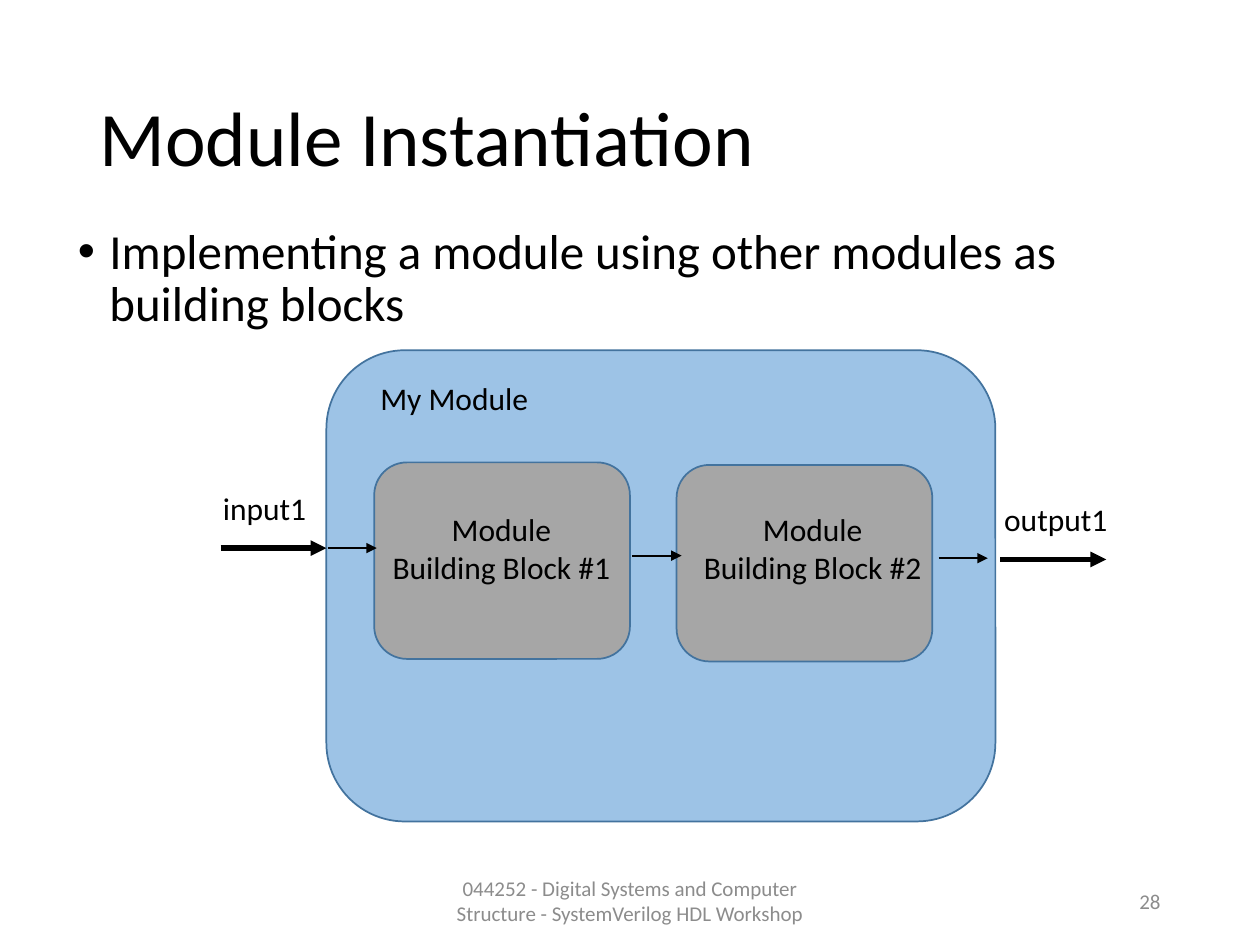
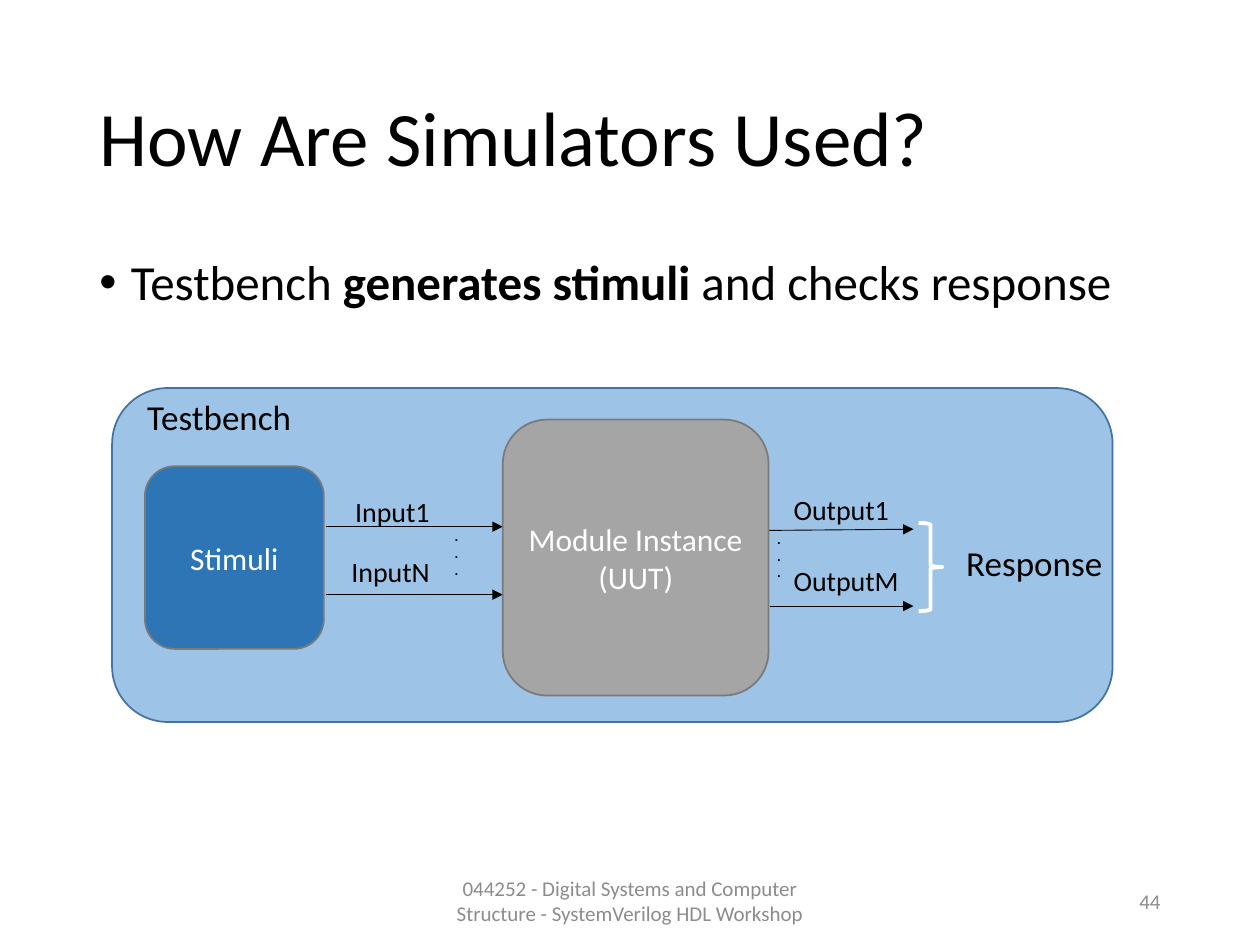
from dataclasses import dataclass

from pptx import Presentation
from pptx import util as u
from pptx.dml.color import RGBColor
from pptx.enum import shapes, text
from pptx.oxml.ns import qn
from lxml import etree

PX = 9144  # 100 px to the inch
FORM = shapes.MSO_SHAPE
ALIGN = text.PP_ALIGN
MID = text.MSO_ANCHOR.MIDDLE


@dataclass(frozen=True)
class Theme:
    font: str = "Calibri"
    black: str = "000000"
    white: str = "FFFFFF"
    muted: str = "8C8C8C"
    panel: str = "9DC3E6"
    edge: str = "43739E"
    block: str = "A6A6A6"
    unit: str = "A5A5A5"
    rim: str = "7A7A7A"
    source: str = "2E75B6"
    title: int = 44
    body: int = 28
    head: int = 20
    label: int = 18
    port: int = 16
    foot: int = 12
    dot: int = 8


T = Theme()
FOOTER = "044252 - Digital Systems and Computer Structure - SystemVerilog HDL Workshop"


def rgb(code):
    return RGBColor.from_string(code)


def px(*nums):
    return [u.Emu(n * PX) for n in nums]


def write(shape, words, size=T.label, color=T.black, align=ALIGN.LEFT,
          anchor=text.MSO_ANCHOR.TOP, bold=False, bullet=False, lead=None):
    """Fill a shape with one paragraph a line; ** switches bold on and off."""
    frame = shape.text_frame
    frame.word_wrap = True
    frame.auto_size = text.MSO_AUTO_SIZE.NONE
    frame.vertical_anchor = anchor
    for i, line in enumerate(words.split("\n")):
        para = frame.add_paragraph() if i else frame.paragraphs[0]
        para.alignment = align
        if lead:
            para.line_spacing = lead
        if bullet:
            props = para._p.get_or_add_pPr()
            props.set("marL", str(25 * PX))
            props.set("indent", str(-25 * PX))
            etree.SubElement(props, qn("a:buFont")).set("typeface", "Arial")
            etree.SubElement(props, qn("a:buChar")).set("char", "•")
        for j, part in enumerate(line.split("**")):
            run = para.add_run()
            run.text = part
            font = run.font
            font.name, font.size = T.font, u.Pt(size)
            font.bold = bold or j % 2 == 1
            font.color.rgb = rgb(color)


def label(slide, box, words, **form):
    write(slide.shapes.add_textbox(*px(*box)), words, **form)


def shape(slide, kind, box, fill=None, line=T.edge, width=1):
    item = slide.shapes.add_shape(kind, *px(*box))
    item.shadow.inherit = False
    if fill:
        item.fill.solid()
        item.fill.fore_color.rgb = rgb(fill)
    else:
        item.fill.background()
    item.line.color.rgb = rgb(line)
    item.line.width = u.Pt(width)
    return item


def card(slide, box, fill, words):
    item = shape(slide, FORM.ROUNDED_RECTANGLE, box, fill, T.rim)
    write(item, words, color=T.white, align=ALIGN.CENTER, anchor=MID)


def arrow(slide, start, end, width):
    item = slide.shapes.add_connector(shapes.MSO_CONNECTOR.STRAIGHT,
                                      *px(*start, *end))
    item.line.color.rgb = rgb(T.black)
    item.line.width = u.Pt(width)
    etree.SubElement(item.line._get_or_add_ln(), qn("a:tailEnd")).set("type", "triangle")
    etree.SubElement(item._element.spPr, qn("a:effectLst"))


def page(deck, title, wide, number):
    """Add a slide with its title, footer and page number."""
    slide = deck.slides.add_slide(deck.slide_layouts[5])
    head = slide.shapes.title
    head.left, head.top, head.width, head.height = px(69, 40, wide, 145)
    write(head, title, size=T.title, anchor=MID, lead=0.9)
    small = dict(size=T.foot, color=T.muted, anchor=MID)
    label(slide, (331, 695, 338, 40), FOOTER, align=ALIGN.CENTER, **small)
    label(slide, (706, 695, 225, 40), str(number), align=ALIGN.RIGHT, **small)
    return slide


def point(slide, box, words):
    label(slide, box, words, size=T.body, bullet=True, lead=0.9)


def modules(deck):
    slide = page(deck, "Module Instantiation", 912, 28)
    point(slide, (52, 175, 896, 509),
          "Implementing a module using other modules as building blocks")
    shape(slide, FORM.ROUNDED_RECTANGLE, (259, 278, 531, 374), T.panel)
    label(slide, (292, 296, 270, 40), "My Module")
    blocks = [(297, 367, 263), (537, 369, 510)]
    for i, (left, top, name) in enumerate(blocks, 1):
        shape(slide, FORM.ROUNDED_RECTANGLE, (left, top, 203, 156), T.block)
        label(slide, (name, 400, 270, 71), f"Module\nBuilding Block #{i}",
              align=ALIGN.CENTER)
    for left, top, name in [(75, 383, "input1"), (703, 392, "output1")]:
        label(slide, (left, top, 270, 40), name, align=ALIGN.CENTER)
    for left, y in [(175, 435), (794, 444)]:
        arrow(slide, (left, y), (left + 84, y), 3)
    for left, y in [(260, 435), (502, 441), (745, 443)]:
        arrow(slide, (left, y), (left + 39, y), 1)


def bench(deck):
    slide = page(deck, "How Are Simulators Used?", 862, 44)
    point(slide, (69, 200, 862, 476),
          "Testbench **generates stimuli** and checks response")
    shape(slide, FORM.ROUNDED_RECTANGLE, (89, 308, 794, 265), T.panel)
    label(slide, (107, 309, 146, 44), "Testbench", size=T.head)
    label(slide, (757, 425, 135, 44), "Response", size=T.head)
    signals = [((607, 421), (725, 420)), ((259, 418), (399, 418)),
               ((259, 472), (399, 472)), ((611, 481), (725, 481))]
    for start, end in signals:
        arrow(slide, start, end, 0.5)
    card(slide, (399, 333, 211, 219), T.unit, "Module Instance\n(UUT)")
    card(slide, (115, 370, 142, 145), T.source, "Stimuli")
    ports = [(272, 388, "Input1"), (269, 435, "InputN"),
             (620, 386, "Output1"), (620, 442, "OutputM")]
    for left, top, name in ports:
        label(slide, (left, top, 115, 37), name, size=T.port)
    for left, top in [(351, 414), (607, 416)]:
        label(slide, (left, top, 28, 50), ".\n.\n.", size=T.dot, bold=True)
    brace = shape(slide, FORM.LEFT_BRACE, (729, 415, 19, 70),
                  line=T.white, width=2.25)
    brace.rotation = 180


def main():
    deck = Presentation()
    deck.slide_width, deck.slide_height = px(1000, 750)
    modules(deck)
    bench(deck)
    deck.save("out.pptx")


if __name__ == "__main__":
    main()
